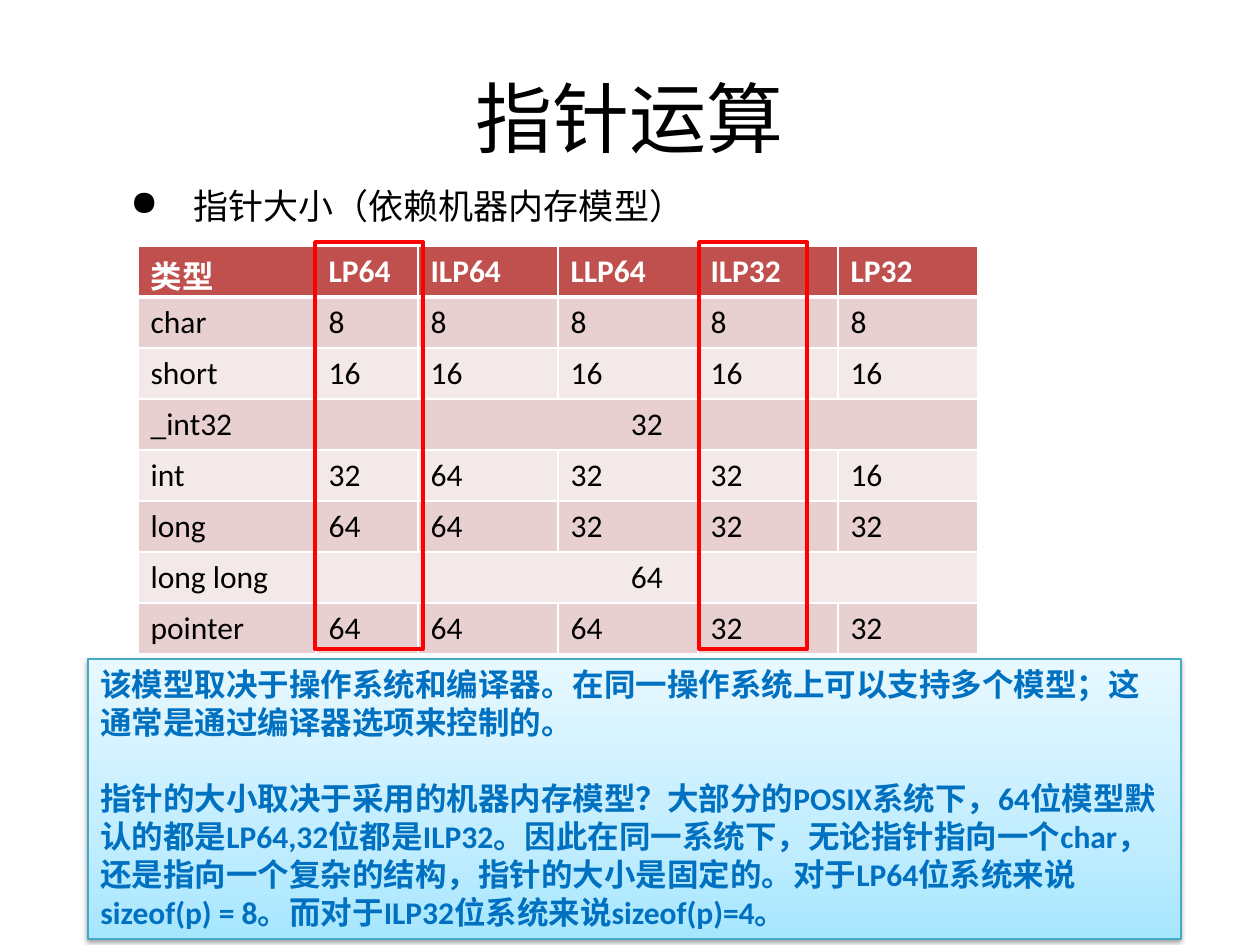
import copy
from dataclasses import dataclass

import pptx
import pptx.dml.color
import pptx.enum.shapes
import pptx.enum.text
import pptx.oxml
import pptx.oxml.ns
import pptx.util

PX = 914400 / 126  # EMU in one px
ALIGN = pptx.enum.text.PP_ALIGN
ANCHOR = pptx.enum.text.MSO_ANCHOR


@dataclass(frozen=True)
class Theme:
    font: str = "Calibri"
    title_size: int = 44
    bullet_size: int = 20
    text_size: int = 18
    black: str = "000000"
    white: str = "FFFFFF"
    header: str = "C0504D"
    bands: tuple = ("E8D0D0", "F4E9E9")
    highlight: str = "FF0000"
    note_text: str = "0070C0"
    note_line: str = "46AAC5"
    note_gradient: tuple = ((0, "A7E6FF"), (0.35, "C1EDFF"), (1, "E7F8FF"))


THEME = Theme()

# A row with a single value spans all the models
ROWS = [
    ("类型", "LP64", "ILP64", "LLP64", "ILP32", "LP32"),
    ("char", "8", "8", "8", "8", "8"),
    ("short", "16", "16", "16", "16", "16"),
    ("_int32", "32"),
    ("int", "32", "64", "32", "32", "16"),
    ("long", "64", "64", "32", "32", "32"),
    ("long long", "64"),
    ("pointer", "64", "64", "64", "32", "32"),
]
COLUMN_WIDTHS = [178, 102, 140, 140, 140, 140]
ROW_HEIGHT = 51

NOTES = [
    "该模型取决于操作系统和编译器。在同一操作系统上可以支持多个模型；这通常是通过编译器选项来控制的。",
    "指针的大小取决于采用的机器内存模型？大部分的POSIX系统下，64位模型默认的都是LP64,32位都是ILP32。"
    "因此在同一系统下，无论指针指向一个char，还是指向一个复杂的结构，指针的大小是固定的。"
    "对于LP64位系统来说sizeof(p) = 8。而对于ILP32位系统来说sizeof(p)=4。",
]


def px(length):
    return pptx.util.Emu(round(length * PX))


def box(left, top, width, height):
    return px(left), px(top), px(width), px(height)


def rgb(color):
    return pptx.dml.color.RGBColor.from_string(color)


def xml(tag, content):
    """Parse one DrawingML element; tag may carry attributes."""
    name = tag.split()[0]
    namespace = pptx.oxml.ns.nsdecls("a")
    return pptx.oxml.parse_xml(f"<a:{tag} {namespace}>{content}</a:{name}>")


def add_run(paragraph, text, size, color, bold=False, align=ALIGN.LEFT):
    paragraph.alignment = align
    run = paragraph.add_run()
    run.text = text
    run.font.name = THEME.font
    run.font.size = pptx.util.Pt(size)
    run.font.bold = bold
    run.font.color.rgb = rgb(color)


def add_title(slide, text):
    title = slide.shapes.title
    title.left, title.top, title.width, title.height = box(63, 38, 1134, 157)
    title.text_frame.vertical_anchor = ANCHOR.MIDDLE
    add_run(title.text_frame.paragraphs[0], text, THEME.title_size, THEME.black, align=ALIGN.CENTER)


def add_bullet(slide, text):
    text_box = slide.shapes.add_textbox(*box(63, 178, 1134, 60))
    text_box.text_frame.word_wrap = True
    paragraph = text_box.text_frame.paragraphs[0]
    add_run(paragraph, text, THEME.bullet_size, THEME.black)
    properties = paragraph._p.get_or_add_pPr()
    properties.set("marL", str(px(118)))
    properties.set("indent", str(px(-63)))
    properties.append(xml("spcBef", '<a:spcPct val="20000"/>'))
    properties.append(xml('buChar char="●"', ""))


def set_borders(cell, top, bottom):
    properties = cell._tc.get_or_add_tcPr()
    fill = f'<a:solidFill><a:srgbClr val="{THEME.white}"/></a:solidFill>'
    widths = (("lnL", 1), ("lnR", 1), ("lnT", top), ("lnB", bottom))
    for position, (side, width) in enumerate(widths):
        border = xml(f'{side} w="{pptx.util.Pt(width)}"', fill)
        properties.insert(position, border)


def add_model_table(slide, left, top):
    frame = slide.shapes.add_table(
        len(ROWS), len(COLUMN_WIDTHS),
        *box(left, top, sum(COLUMN_WIDTHS), ROW_HEIGHT * len(ROWS)))
    table = frame.table
    for column, width in zip(table.columns, COLUMN_WIDTHS):
        column.width = px(width)
    last = len(COLUMN_WIDTHS) - 1
    for row, values in enumerate(ROWS):
        table.rows[row].height = px(ROW_HEIGHT)
        is_header = row == 0
        spans = len(values) == 2
        fill = THEME.header if is_header else THEME.bands[(row - 1) % 2]
        for column in range(last + 1):
            cell = table.cell(row, column)
            cell.fill.solid()
            cell.fill.fore_color.rgb = rgb(fill)
            set_borders(cell, top=3 if row == 1 else 1, bottom=3 if is_header else 1)
        if spans:
            table.cell(row, 1).merge(table.cell(row, last))
        for column, value in enumerate(values):
            add_run(table.cell(row, column).text_frame.paragraphs[0], value, THEME.text_size,
                    THEME.white if is_header else THEME.black, is_header,
                    ALIGN.CENTER if spans and column else ALIGN.LEFT)


def add_rectangle(slide, bounds, line_color, line_width):
    shape = slide.shapes.add_shape(pptx.enum.shapes.MSO_SHAPE.RECTANGLE, *box(*bounds))
    shape.shadow.inherit = False
    shape.line.color.rgb = rgb(line_color)
    shape.line.width = pptx.util.Pt(line_width)
    return shape


def add_highlight(slide, left):
    shape = add_rectangle(slide, (left, 242, 108, 407), THEME.highlight, 2)
    shape.fill.background()


def add_note(slide, texts):
    shape = add_rectangle(slide, (88, 659, 1093, 280), THEME.note_line, 0.75)

    # Three-stop gradient running upwards
    shape.fill.gradient()
    shape.fill.gradient_angle = 90
    stop_list = shape._element.spPr.find(".//" + pptx.oxml.ns.qn("a:gsLst"))
    stop_list.append(copy.deepcopy(stop_list[0]))
    for stop, (position, color) in zip(shape.fill.gradient_stops, THEME.note_gradient):
        stop.position = position
        stop.color.rgb = rgb(color)

    # Soft shadow below
    effects = shape._element.spPr.find(pptx.oxml.ns.qn("a:effectLst"))
    blur, distance = pptx.util.Pt(3.1), pptx.util.Pt(1.6)
    effects.append(xml(
        f'outerShdw blurRad="{blur}" dist="{distance}" dir="5400000" rotWithShape="0"',
        f'<a:srgbClr val="{THEME.black}"><a:alpha val="38000"/></a:srgbClr>'))

    text_frame = shape.text_frame
    text_frame.word_wrap = True
    text_frame.vertical_anchor = ANCHOR.TOP
    for index, text in enumerate(texts):
        paragraph = text_frame.add_paragraph() if index else text_frame.paragraphs[0]
        if index:
            paragraph.space_before = pptx.util.Pt(22)
        add_run(paragraph, text, THEME.text_size, THEME.note_text, bold=True)


def main():
    presentation = pptx.Presentation()
    presentation.slide_width, presentation.slide_height = px(1260), px(945)
    slide = presentation.slides.add_slide(presentation.slide_layouts[5])
    add_title(slide, "指针运算")
    add_bullet(slide, "指针大小（依赖机器内存模型）")
    add_note(slide, NOTES)
    add_model_table(slide, 138, 246)
    for left in (315, 699):  # LP64 and ILP32 columns
        add_highlight(slide, left)
    presentation.save("out.pptx")


if __name__ == "__main__":
    main()
